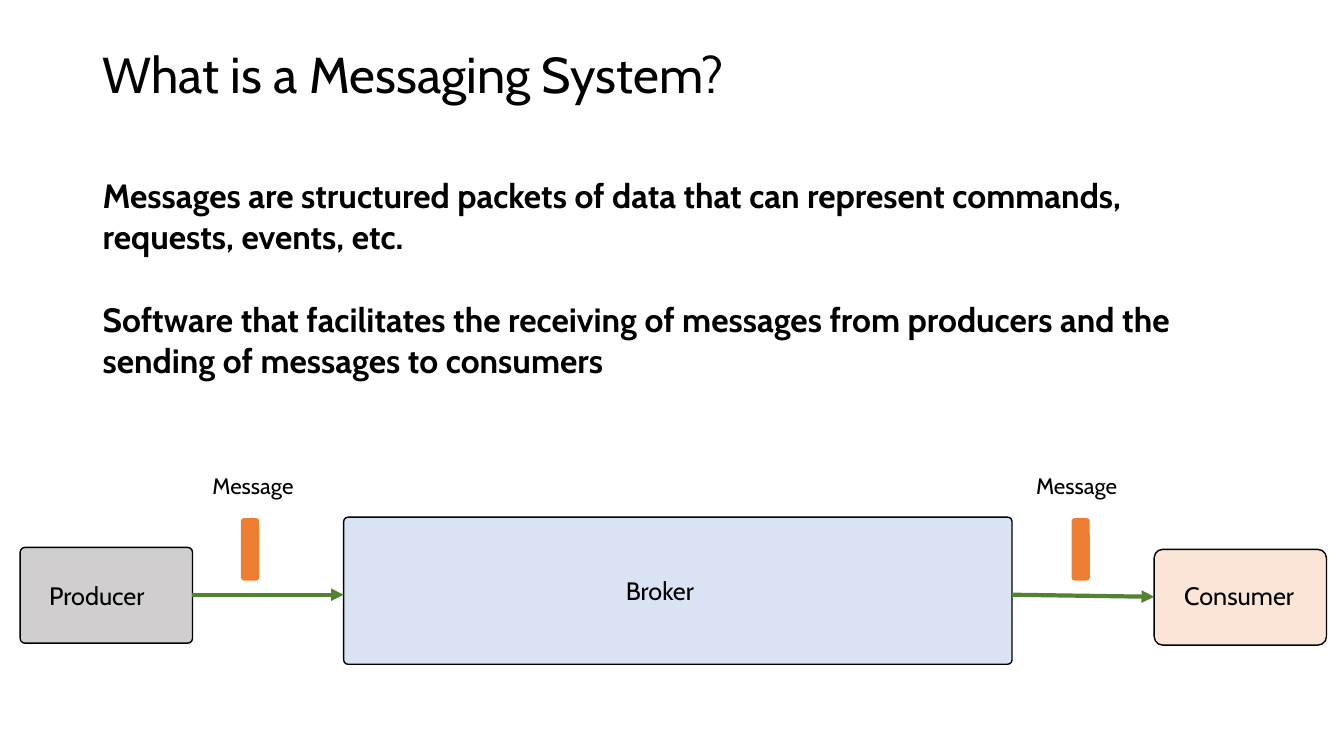
from dataclasses import dataclass

from lxml import etree
from pptx import Presentation
from pptx.dml.color import RGBColor
from pptx.enum.shapes import MSO_CONNECTOR, MSO_SHAPE
from pptx.enum.text import MSO_ANCHOR
from pptx.oxml.ns import qn
from pptx.util import Pt

ROUND = MSO_SHAPE.ROUNDED_RECTANGLE
STRAIGHT = MSO_CONNECTOR.STRAIGHT
TOP, MIDDLE = MSO_ANCHOR.TOP, MSO_ANCHOR.MIDDLE


@dataclass(frozen=True)
class Theme:
    font: str = "Cabin"
    ink: str = "000000"
    grey: str = "D0CECE"
    blue: str = "DAE3F3"
    peach: str = "FBE5D6"
    orange: str = "ED7D31"
    green: str = "548235"
    title: int = 36
    body: int = 24
    label: int = 18
    small: int = 16


class Painter:
    def __init__(self, slide, theme):
        self.slide = slide
        self.theme = theme

    def text(self, words, x, y, w, h, size, bold=False, anchor=TOP, space=1.0):
        box = self.slide.shapes.add_textbox(Pt(x), Pt(y), Pt(w), Pt(h))
        frame = box.text_frame
        frame.word_wrap = True
        frame.vertical_anchor = anchor
        frame.text = words
        para = frame.paragraphs[0]
        para.line_spacing = space
        font = para.runs[0].font
        font.name = self.theme.font
        font.size = Pt(size)
        font.bold = bold
        font.color.rgb = RGBColor.from_string(self.theme.ink)

    def box(self, x, y, w, h, fill, bend, edge=True):
        """Draw a rounded box; bend is the corner share of its short side."""
        shape = self.slide.shapes.add_shape(ROUND, Pt(x), Pt(y), Pt(w), Pt(h))
        shape.shadow.inherit = False
        shape.adjustments[0] = bend
        shape.fill.solid()
        shape.fill.fore_color.rgb = RGBColor.from_string(fill)
        if edge:
            shape.line.color.rgb = RGBColor.from_string(self.theme.ink)
            shape.line.width = Pt(1)
        else:
            shape.line.fill.background()

    def arrow(self, x1, y1, x2, y2):
        link = self.slide.shapes.add_connector(
            STRAIGHT, Pt(x1), Pt(y1), Pt(x2), Pt(y2))
        link.line.color.rgb = RGBColor.from_string(self.theme.green)
        link.line.width = Pt(3)
        props = link._element.spPr
        line = props.find(qn("a:ln"))
        etree.SubElement(line, qn("a:tailEnd"), type="triangle")
        etree.SubElement(props, qn("a:effectLst"))


def main():
    deck = Presentation()
    deck.slide_width, deck.slide_height = Pt(960), Pt(540)
    theme = Theme()
    art = Painter(deck.slides.add_slide(deck.slide_layouts[6]), theme)

    left = 66.24
    art.text("What is a Messaging System?", left, 28.8, 479.5, 53.3,
             theme.title, anchor=MIDDLE, space=0.9)
    points = (
        (121.7, "Messages are structured packets of data that can represent "
                "commands, requests, events, etc."),
        (210.2, "Software that facilitates the receiving of messages from "
                "producers and the sending of messages to consumers"),
    )
    for y, words in points:
        art.text(words, left, y, 777.6, 65.5, theme.body, bold=True)

    # Each node: name, box, fill, corner, label left, top and width
    nodes = (
        ("Producer", (14.4, 391, 123.1, 68.4), theme.grey, 0.05,
         (28.1, 411.1, 96.5)),
        ("Broker", (245.5, 369.4, 477.4, 105.1), theme.blue, 0.03,
         (439.9, 407.5, 70.6)),
        ("Consumer", (824.4, 392.4, 123.1, 68.4), theme.peach, 0.09,
         (838.8, 411.1, 100)),
    )
    for name, area, fill, bend, spot in nodes:
        art.box(*area, fill, bend)
        art.text(name, *spot, 28.8, theme.label)

    # Each message: label left, bar left
    for x, bar in ((144.7, 172.1), (733, 765.4)):
        art.text("Message", x, 333.4, 81.4, 26.6, theme.small)
        art.box(bar, 370.1, 13, 44.6, theme.orange, 0.17, edge=False)

    flow = 424.8
    art.arrow(137.5, flow, 245.5, flow)
    art.arrow(722.9, flow, 824.4, flow + 1.5)

    deck.save("out.pptx")


if __name__ == "__main__":
    main()
